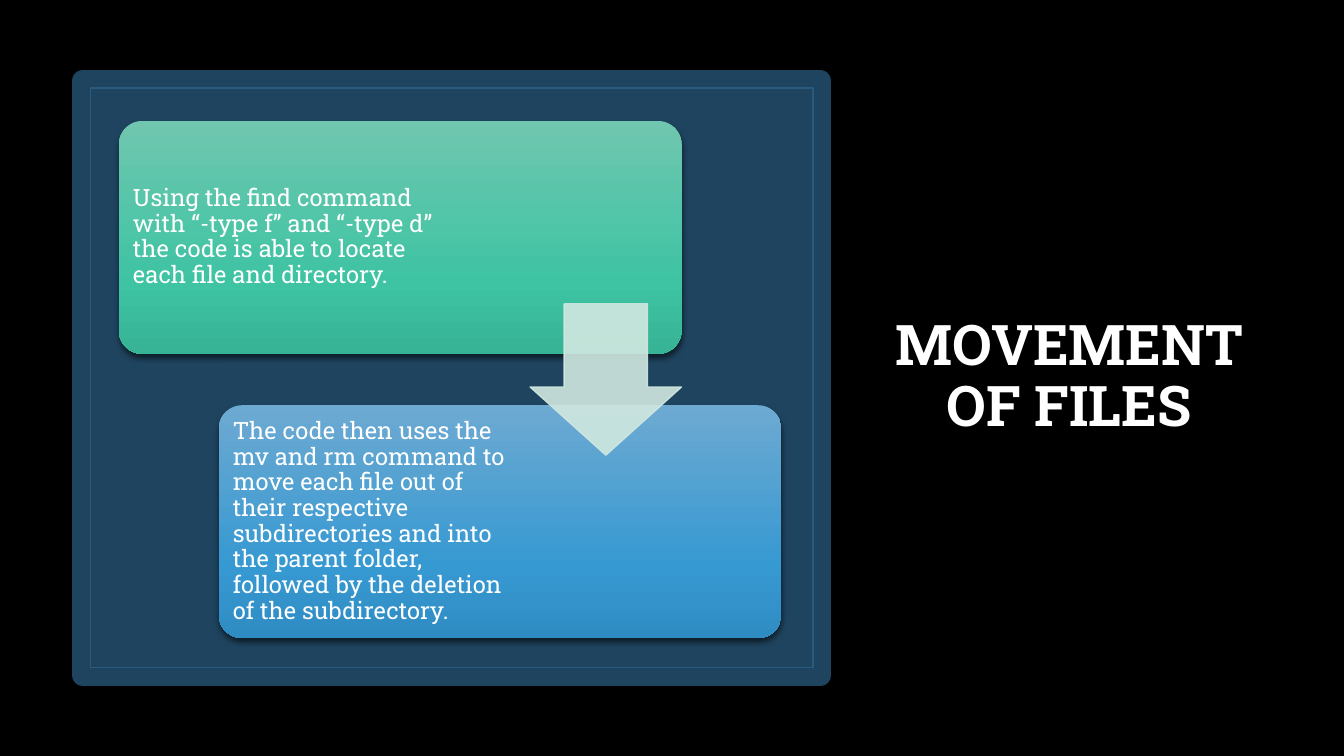
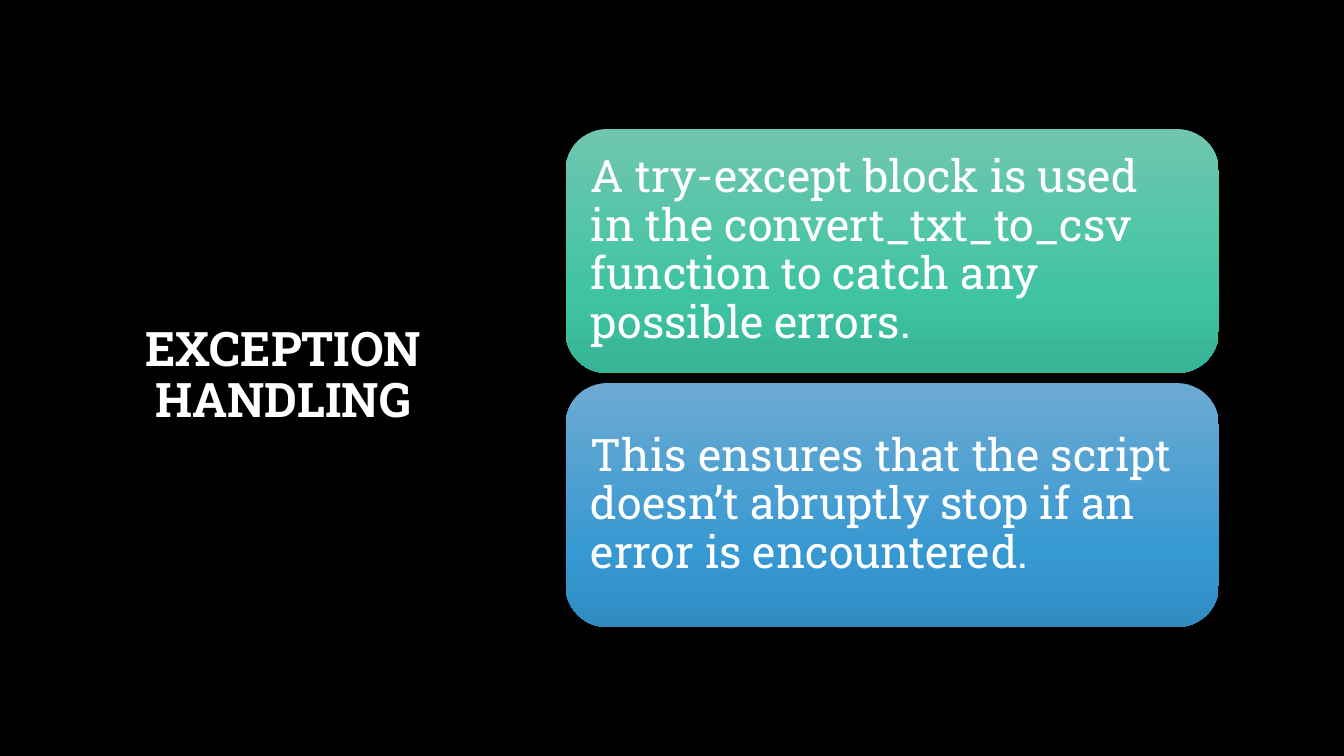
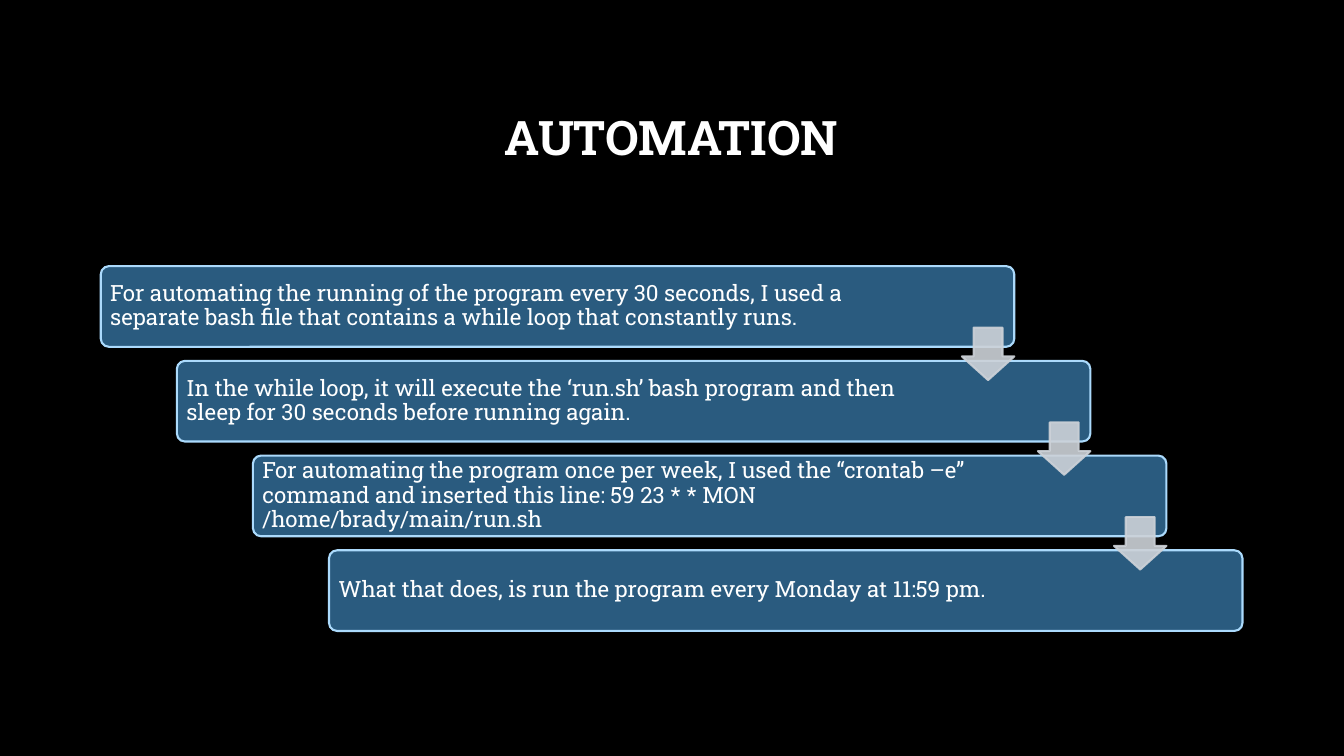
from copy import deepcopy

from pptx import Presentation
from pptx.dml.color import RGBColor
from pptx.enum.shapes import MSO_SHAPE
from pptx.enum.text import MSO_ANCHOR, MSO_AUTO_SIZE, PP_ALIGN
from pptx.oxml import parse_xml
from pptx.oxml.ns import nsdecls, qn
from pptx.util import Inches, Pt

FONT = "Roboto Slab"
COLOURS = {
    "background": "000000",
    "text": "FFFFFF",
    "panel": "1F445F",
    "steel": "2A5B7F",
    "step_edge": "ABDAFC",
    "mint_arrow": "D0E8E0",
    "grey_arrow": "CDD2D8",
}
GREEN = ("70C6AF", "3EC4A3", "37B395")
BLUE = ("6DAAD2", "3799D2", "2F8CC2")
GRADIENT_POSITIONS = (0, 0.69, 1)
CARD_SHADOW = dict(opacity=54, blur=4, distance=3)
SLIDE_W, SLIDE_H = Inches(13.33), Inches(7.5)


# Lengths as percentages of the slide's width and height
def across(percent):
    return round(SLIDE_W * percent / 100)


def down(percent):
    return round(SLIDE_H * percent / 100)


def box(left, top, width, height):
    return across(left), down(top), across(width), down(height)


def rgb(name):
    return RGBColor.from_string(COLOURS[name])


# Text
def write(frame, text, size, bold=False, align=PP_ALIGN.LEFT, inset=None):
    frame.word_wrap = True
    frame.auto_size = MSO_AUTO_SIZE.NONE
    frame.vertical_anchor = MSO_ANCHOR.MIDDLE
    if inset is not None:
        frame.margin_left = frame.margin_right = Inches(inset)
        frame.margin_top = frame.margin_bottom = Inches(inset)
    paragraph = frame.paragraphs[0]
    paragraph.alignment = align
    paragraph.line_spacing = 0.9
    run = paragraph.add_run()
    run.text = text
    run.font.name = FONT
    run.font.size = Pt(size)
    run.font.bold = bold
    run.font.color.rgb = rgb("text")


def titled_slide(prs, text, area, size):
    slide = prs.slides.add_slide(prs.slide_layouts[5])
    title = slide.shapes.title
    title.left, title.top, title.width, title.height = area
    write(title.text_frame, text, size, bold=True, align=PP_ALIGN.CENTER)
    return slide


# Shapes
def add_shadow(shape, opacity, blur, distance):
    shape._element.spPr.find(qn("a:effectLst")).append(parse_xml(
        f'<a:outerShdw {nsdecls("a")} blurRad="{Pt(blur)}" dist="{Pt(distance)}" '
        f'dir="5400000" algn="ctr" rotWithShape="0"><a:srgbClr val="000000">'
        f'<a:alpha val="{opacity * 1000}"/></a:srgbClr></a:outerShdw>'))


def fill_gradient(shape, colours):
    shape.fill.gradient()
    shape.fill.gradient_angle = 270
    stop_list = shape._element.spPr.find(".//" + qn("a:gsLst"))
    stop_list.append(deepcopy(stop_list[-1]))
    for stop, colour, position in zip(
            shape.fill.gradient_stops, colours, GRADIENT_POSITIONS):
        stop.color.rgb = RGBColor.from_string(colour)
        stop.position = position


def add_figure(slide, kind, area, fill=None, edge=None, edge_width=1,
               adjust=(), opacity=100, shadow=None):
    figure = slide.shapes.add_shape(kind, *area)
    figure.shadow.inherit = False
    for index, value in enumerate(adjust):
        figure.adjustments[index] = value
    if fill is None:
        figure.fill.background()
    elif isinstance(fill, tuple):
        fill_gradient(figure, fill)
    else:
        figure.fill.solid()
        figure.fill.fore_color.rgb = rgb(fill)
    if edge:
        figure.line.color.rgb = rgb(edge)
        figure.line.width = Pt(edge_width)
    else:
        figure.line.fill.background()
    if opacity < 100:
        for colour in figure._element.spPr.iter(qn("a:srgbClr")):
            colour.append(parse_xml(
                f'<a:alpha {nsdecls("a")} val="{opacity * 1000}"/>'))
    if shadow:
        add_shadow(figure, **shadow)
    return figure


# Cards placed at equal steps, with optional arrows centred in the gaps
def add_cards(slide, cards, first, step, size, fills, corner=0.1, pad=0.03,
              inset=0.07, edge=None, edge_width=1, shadow=None, arrow=None):
    left, top, width, height = first
    step_x, step_y = step
    margin = round(height * pad)
    for row, (text, text_width) in enumerate(cards):
        x, y = left + row * step_x, top + row * step_y
        add_figure(slide, MSO_SHAPE.ROUNDED_RECTANGLE, (x, y, width, height),
                   fill=fills[row % len(fills)], edge=edge,
                   edge_width=edge_width, adjust=(corner,), shadow=shadow)
        label = slide.shapes.add_textbox(
            x + margin, y + margin, across(text_width), height - 2 * margin)
        write(label.text_frame, text, size, inset=inset)
    if arrow is None:
        return
    side = round(height * 0.65)
    for row in range(len(cards) - 1):
        gap_middle = top + row * step_y + (height + step_y) // 2
        area = (left + row * step_x + width - side,
                gap_middle - side // 2, side, side)
        add_figure(slide, MSO_SHAPE.DOWN_ARROW, area, fill=arrow, edge=arrow,
                   edge_width=edge_width, adjust=(0.55, 0.45), opacity=90)


# Slides
def movement_slide(prs):
    slide = titled_slide(prs, "MOVEMENT OF FILES",
                         box(64.6, 9.2, 29.9, 81.5), 40)
    panel = box(6.15, 10.67, 54.9, 78.67)
    add_figure(slide, MSO_SHAPE.RECTANGLE, panel, fill="panel", edge="panel",
               edge_width=15, shadow=dict(opacity=40, blur=4.3, distance=1.4))
    rim = down(1)
    left, top, width, height = panel
    add_figure(slide, MSO_SHAPE.RECTANGLE,
               (left + rim, top + rim, width - 2 * rim, height - 2 * rim),
               edge="steel")
    add_cards(slide, [
        ("Using the find command with “-type f” and “-type d” the code is "
         "able to locate each file and directory.", 23.93),
        ("The code then uses the mv and rm command to move each file out of "
         "their respective subdirectories and into the parent folder, "
         "followed by the deletion of the subdirectory.", 22.2),
    ], first=box(8.85, 16, 41.86, 30.8), step=(across(7.43), down(37.6)),
        size=17, fills=(GREEN, BLUE), shadow=CARD_SHADOW, arrow="mint_arrow")


def exception_slide(prs):
    slide = titled_slide(prs, "EXCEPTION HANDLING",
                         box(6.15, 8.93, 29.85, 81.73), 34)
    add_cards(slide, [
        ("A try-except block is used in the convert_txt_to_csv function to "
         "catch any possible errors.", 46.81),
        ("This ensures that the script doesn’t abruptly stop if an error is "
         "encountered.", 46.81),
    ], first=box(42.08, 17.07, 48.6, 32.27), step=(0, down(33.6)),
        size=32, fills=(GREEN, BLUE), corner=0.17, pad=0.05, inset=0.13,
        shadow=CARD_SHADOW)


def automation_slide(prs):
    slide = titled_slide(prs, "AUTOMATION", box(7.5, 8.93, 84.9, 19.33), 34)
    add_cards(slide, [
        ("For automating the running of the program every 30 seconds, I used "
         "a separate bash file that contains a while loop that constantly "
         "runs.", 60.99),
        ("In the while loop, it will execute the ‘run.sh’ bash program and "
         "then sleep for 30 seconds before running again.", 58.06),
        ("For automating the program once per week, I used the “crontab –e” "
         "command and inserted this line: 59 23 * * MON "
         "/home/brady/main/run.sh", 58.1),
        ("What that does, is run the program every Monday at 11:59 pm.",
         58.06),
    ], first=box(7.5, 35.2, 67.97, 10.67), step=(across(5.66), down(12.53)),
        size=16, fills=("steel",), edge="step_edge", edge_width=1.5,
        arrow="grey_arrow")


def main():
    prs = Presentation()
    prs.slide_width, prs.slide_height = SLIDE_W, SLIDE_H
    backdrop = prs.slide_master.background.fill
    backdrop.solid()
    backdrop.fore_color.rgb = rgb("background")
    movement_slide(prs)
    exception_slide(prs)
    automation_slide(prs)
    prs.save("out.pptx")


if __name__ == "__main__":
    main()
